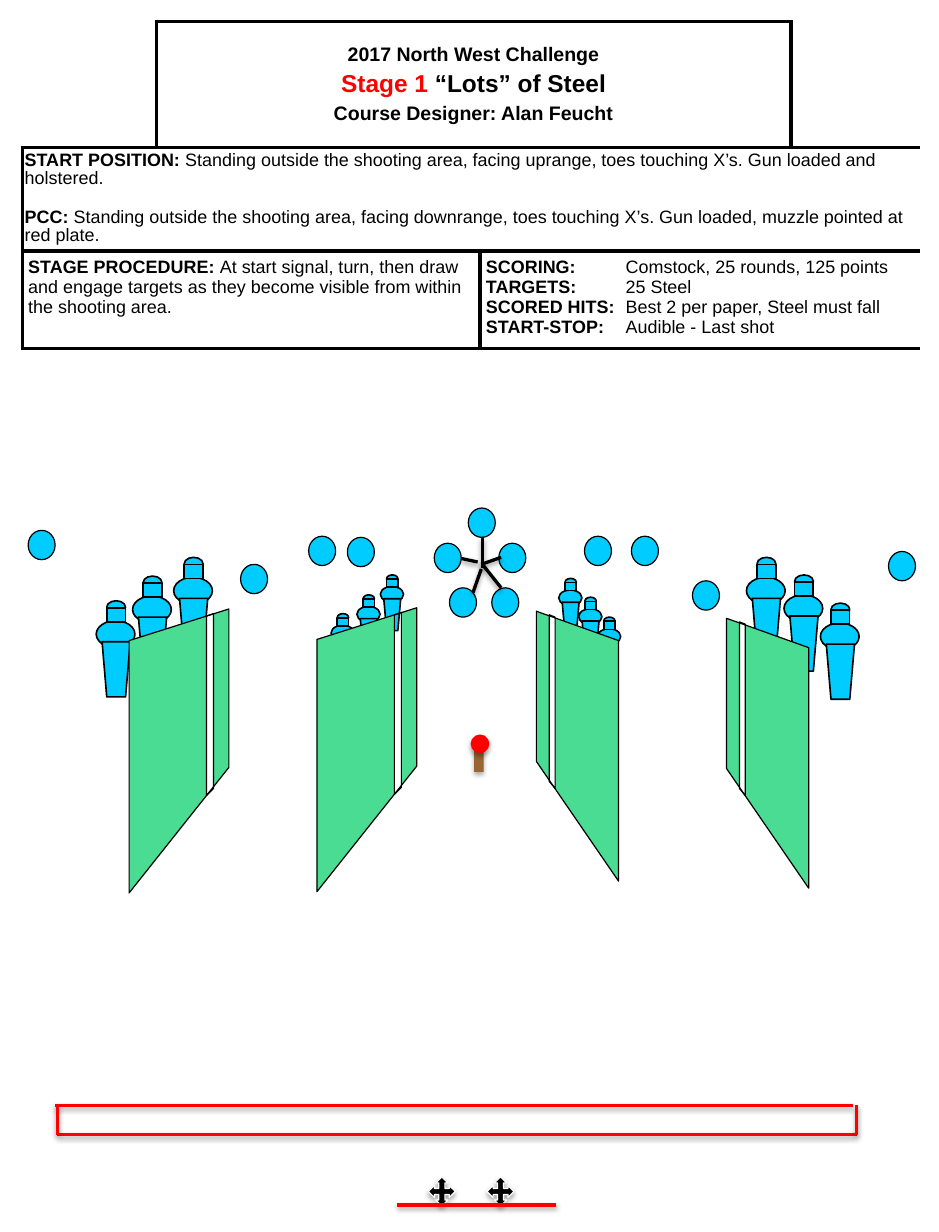
from lxml.etree import SubElement
from pptx import Presentation
from pptx.dml.color import RGBColor
from pptx.enum.shapes import MSO_CONNECTOR as LINK, MSO_SHAPE as SHAPE
from pptx.enum.text import MSO_ANCHOR as ANCHOR, PP_ALIGN as ALIGN
from pptx.oxml.ns import qn
from pptx.util import Emu, Inches, Pt

COLS, ROWS = 8, 10.5
COLORS = {"ink": "000000", "paper": "FFFFFF", "red": "FF0000",
          "steel": "00CCFF", "wall": "4ADC93", "post": "996633"}


class Stage:
    font = "Arial"

    def __init__(self, prs):
        self.prs = prs
        self.slide = prs.slides.add_slide(prs.slide_layouts[6])

    def x(self, cols):
        return Emu(round(self.prs.slide_width * cols / COLS))

    def y(self, rows):
        return Emu(round(self.prs.slide_height * rows / ROWS))

    def color(self, name):
        return RGBColor.from_string(COLORS[name])

    def group(self):
        return self.slide.shapes.add_group_shape().shapes

    def style(self, sp, fill, line=None, width=1):
        sp.fill.solid()
        sp.fill.fore_color.rgb = self.color(fill)
        if line:
            sp.line.color.rgb = self.color(line)
            sp.line.width = Pt(width)
        else:
            sp.line.fill.background()
        sp.shadow.inherit = False
        return sp

    def shade(self, effects, alpha, dist):
        shadow = SubElement(effects, qn("a:outerShdw"), blurRad=str(Pt(3.1)),
                            dist=str(Pt(dist)), dir="5400000", rotWithShape="0")
        clr = SubElement(shadow, qn("a:srgbClr"), val=COLORS["ink"])
        SubElement(clr, qn("a:alpha"), val=str(alpha * 1000))

    def shape(self, kind, box, fill, line=None, width=1, shadow=False, into=None):
        left, top, wide, high = box
        sp = (into or self.slide.shapes).add_shape(
            kind, self.x(left), self.y(top), self.x(wide), self.y(high))
        self.style(sp, fill, line, width)
        if shadow:
            self.shade(sp._element.spPr.find(qn("a:effectLst")), 35, 1.8)

    def outline(self, contours, fill, width, into=None):
        pts = [[(self.x(a), self.y(b)) for a, b in c] for c in contours]
        builder = (into or self.slide.shapes).build_freeform(*pts[0][0])
        builder.add_line_segments(pts[0][1:], close=True)
        for contour in pts[1:]:
            builder.move_to(*contour[0])
            builder.add_line_segments(contour[1:], close=True)
        self.style(builder.convert_to_shape(), fill, "ink", width)

    def line(self, start, end, color, into=None):
        cx = (into or self.slide.shapes).add_connector(
            LINK.STRAIGHT, self.x(start[0]), self.y(start[1]),
            self.x(end[0]), self.y(end[1]))
        cx.line.color.rgb = self.color(color)
        cx.line.width = Pt(2)
        self.shade(SubElement(cx._element.spPr, qn("a:effectLst")), 38, 1.6)

    def plate(self, left, top):
        self.shape(SHAPE.OVAL, (left, top, 0.23, 0.25), "steel", "ink", 0.75)

    def popper(self, left, top, sx=1, sy=1):
        g = self.group()

        def part(kind, a, b, w, h):
            box = (left + a * sx, top + b * sy, w * sx, h * sy)
            self.shape(kind, box, "steel", "ink", into=g)

        part(SHAPE.OVAL, 0.09, 0, 0.16, 0.11)
        part(SHAPE.OVAL, 0, 0.17, 0.33, 0.23)
        leg = [(0.05, 0.35), (0.29, 0.35), (0.25, 0.82), (0.09, 0.82)]
        self.outline([[(left + a * sx, top + b * sy) for a, b in leg]],
                     "steel", 1, g)
        part(SHAPE.RECTANGLE, 0.09, 0.06, 0.16, 0.12)

    def wall(self, left, top, profile):
        self.outline([[(left + a, top + b) for a, b in c] for c in profile],
                     "wall", 0)

    def table(self, left, top, cols, rows):
        frame = self.slide.shapes.add_table(
            len(rows), len(cols), self.x(left), self.y(top),
            self.x(sum(cols)), self.y(sum(rows)))
        tbl = frame.table
        tbl.first_row = tbl.horz_banding = False
        for col, wide in zip(tbl.columns, cols):
            col.width = self.x(wide)
        for row, high in zip(tbl.rows, rows):
            row.height = self.y(high)
        return tbl

    def border(self, cell, sides):
        tcPr = cell._tc.get_or_add_tcPr()
        for side in "LRTB":
            ln = SubElement(tcPr, qn("a:ln" + side), w=str(Pt(2.25)))
            if side in sides:
                fill = SubElement(ln, qn("a:solidFill"))
                SubElement(fill, qn("a:srgbClr"), val=COLORS["ink"])
            else:
                SubElement(ln, qn("a:noFill"))

    def cell(self, tbl, row, first, last, sides="LRTB", inset=(0.05, 0.05)):
        for i in range(first, last + 1):
            c = tbl.cell(row, i)
            drop = ("L" if i > first else "") + ("R" if i < last else "")
            self.border(c, set(sides) - set(drop))
            c.fill.solid()
            c.fill.fore_color.rgb = self.color("paper")
        c = tbl.cell(row, first)
        if last > first:
            c.merge(tbl.cell(row, last))
        c.margin_left = c.margin_right = Inches(inset[0])
        c.margin_top = c.margin_bottom = Inches(inset[1])
        return c

    def text(self, cell, paragraphs, before=0, align=ALIGN.LEFT, spacing=1, tab=None):
        tf = cell.text_frame
        for i, runs in enumerate(paragraphs):
            p = tf.add_paragraph() if i else tf.paragraphs[0]
            if tab:
                tabs = SubElement(p._p.get_or_add_pPr(), qn("a:tabLst"))
                SubElement(tabs, qn("a:tab"), pos=str(self.x(tab)), algn="l")
            p.alignment, p.line_spacing = align, spacing
            p.space_before = Pt(before if i else 0)
            for words, size, bold, color in runs:
                r = p.add_run()
                r.text = words
                r.font.name, r.font.size, r.font.bold = self.font, Pt(size), bold
                r.font.color.rgb = self.color(color)


def labelled(label, words):
    return [(label, 11, True, "ink"), (words, 11, False, "ink")]


def add_briefing(st):
    tbl = st.table(0.19, 0.18, [1.14, 2.76, 2.65, 1.1], [1.08, 0.88, 0.83])
    st.cell(tbl, 0, 0, 0, "RB")
    title = st.cell(tbl, 0, 1, 2)
    title.vertical_anchor = ANCHOR.MIDDLE
    st.text(title, [
        [("2017 North West Challenge", 12, True, "ink")],
        [("Stage 1", 15, True, "red"), (" “Lots” of Steel", 15, True, "ink")],
        [("Course Designer: Alan Feucht", 12, True, "ink")],
    ], before=3, align=ALIGN.CENTER)
    st.cell(tbl, 0, 3, 3, "LB")
    st.text(st.cell(tbl, 1, 0, 3, inset=(0.02, 0.04)), [
        labelled("START POSITION:", " Standing outside the shooting area, facing uprange, "
                 "toes touching X’s. Gun loaded and holstered."),
        labelled("PCC:", " Standing outside the shooting area, facing downrange, "
                 "toes touching X’s. Gun loaded, muzzle pointed at red plate."),
    ], before=13, spacing=0.9)
    st.text(st.cell(tbl, 2, 0, 1), [
        labelled("STAGE PROCEDURE: ", "At start signal, turn, then draw and engage "
                 "targets as they become visible from within the shooting area.")])
    scoring = [("SCORING:", "Comstock, 25 rounds, 125 points"),
               ("TARGETS:", "25 Steel"),
               ("SCORED HITS:", "Best 2 per paper, Steel must fall"),
               ("START-STOP:", "Audible - Last shot")]
    st.text(st.cell(tbl, 2, 2, 3),
            [labelled(label, "\t" + words) for label, words in scoring], tab=1.19)


def main():
    prs = Presentation()
    prs.slide_width, prs.slide_height = Inches(COLS), Inches(ROWS)
    st = Stage(prs)

    for spot in [(6.36, 4.75), (6.68, 4.9), (6.99, 5.14),
                 (1.48, 4.75), (1.13, 4.91), (0.82, 5.12)]:
        st.popper(*spot)
    for spot in [(4.76, 4.93), (4.93, 5.09), (5.09, 5.26),
                 (3.24, 4.9), (3.04, 5.07), (2.82, 5.23)]:
        st.popper(*spot, sx=0.6, sy=0.58)

    for spot in [(3.99, 4.33), (4.25, 4.63), (3.7, 4.63), (3.83, 5.01), (4.19, 5.01),
                 (4.98, 4.57), (5.38, 4.57), (7.57, 4.7), (2.96, 4.58),
                 (2.63, 4.57), (0.24, 4.52), (2.05, 4.81), (5.9, 4.95)]:
        st.plate(*spot)
    for start, end in [((4.11, 4.58), (4.11, 4.84)), ((4.11, 4.81), (4.27, 5.01)),
                       ((4.27, 4.75), (4.1, 4.81)), ((3.93, 4.76), (4.07, 4.79)),
                       ((4.1, 4.85), (4.03, 5.05))]:
        st.line(start, end, "ink")

    left_wall = [[(0, 0.27), (0, 2.42), (0.85, 1.35), (0.85, 0)],
                 [(0.66, 0.06), (0.66, 1.59), (0.72, 1.53), (0.72, 0.04)]]
    right_wall = [[(0.7, 0.25), (0.7, 2.3), (0, 1.28), (0, 0)],
                  [(0.16, 0.05), (0.16, 1.51), (0.11, 1.45), (0.11, 0.03)]]
    for left, top, profile in [(2.7, 5.18, left_wall), (1.1, 5.19, left_wall),
                               (4.57, 5.21, right_wall), (6.19, 5.27, right_wall)]:
        st.wall(left, top, profile)

    for start, end in [((0.47, 9.42), (7.27, 9.42)), ((0.49, 9.67), (7.3, 9.67)),
                       ((7.3, 9.42), (7.3, 9.67)), ((0.49, 9.42), (0.49, 9.67))]:
        st.line(start, end, "red")

    start_marks = st.group()
    for left in (3.65, 4.15):
        st.shape(SHAPE.QUAD_ARROW, (left, 10.03, 0.23, 0.25), "ink", "paper", 0.75,
                 shadow=True, into=start_marks)
    st.line((4.74, 10.27), (3.38, 10.27), "red", start_marks)

    add_briefing(st)

    red_plate = st.group()
    st.shape(SHAPE.RECTANGLE, (4.04, 6.36, 0.08, 0.22), "post", shadow=True, into=red_plate)
    st.shape(SHAPE.OVAL, (4.01, 6.26, 0.16, 0.16), "red", shadow=True, into=red_plate)
    prs.save("out.pptx")


if __name__ == "__main__":
    main()
